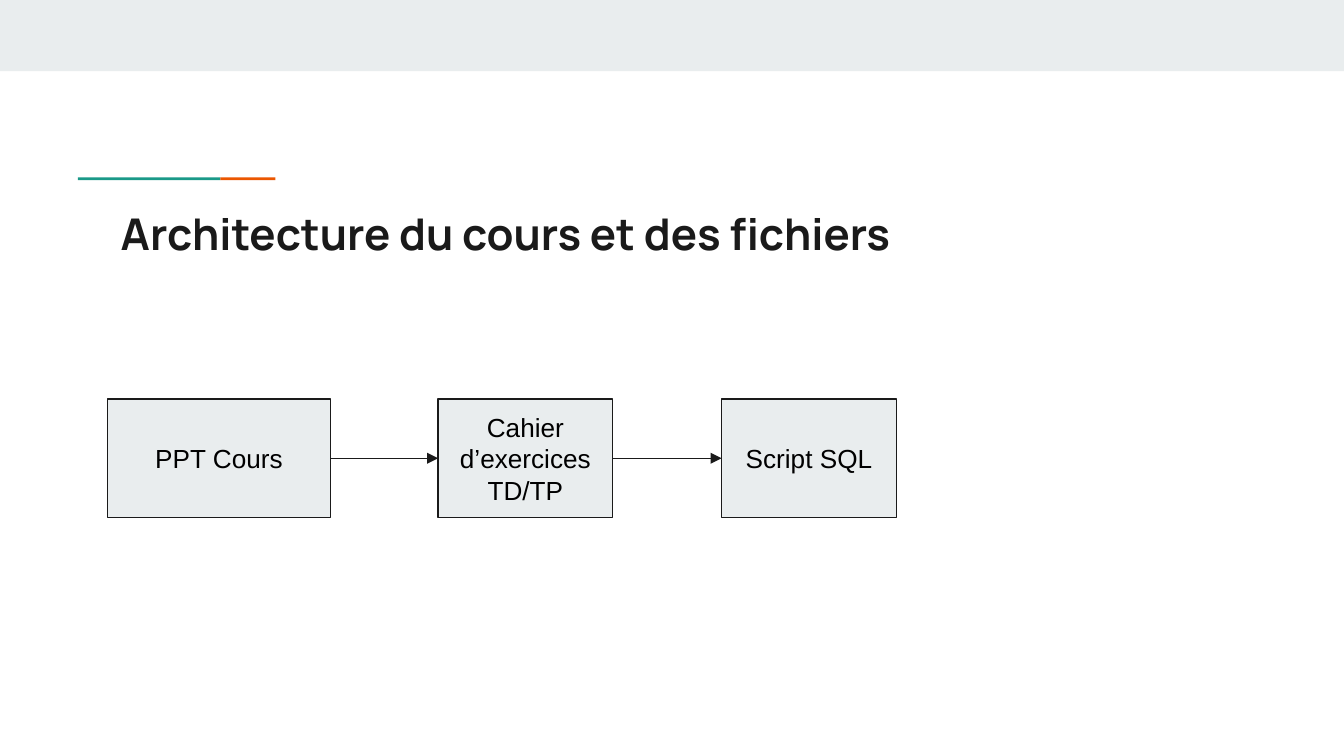
from pptx import Presentation
from pptx.dml.color import RGBColor
from pptx.enum.shapes import MSO_CONNECTOR, MSO_SHAPE
from pptx.enum.text import MSO_ANCHOR, PP_ALIGN
from pptx.oxml.ns import qn
from pptx.util import Inches, Pt
from lxml import etree

RECTANGLE = MSO_SHAPE.RECTANGLE
STRAIGHT = MSO_CONNECTOR.STRAIGHT
MIDDLE = MSO_ANCHOR.MIDDLE
CENTER = PP_ALIGN.CENTER
LEFT_SIDE, RIGHT_SIDE = 1, 3

COLORS = {
    "pale": "E9EDEE",
    "teal": "1A9988",
    "orange": "EB5600",
    "ink": "1A1A1A",
    "black": "000000",
}

# 16:9 slide
presentation = Presentation()
presentation.slide_width = Inches(10)
presentation.slide_height = Inches(10 * 9 / 16)
slide = presentation.slides.add_slide(presentation.slide_layouts[6])


def color(name):
    return RGBColor.from_string(COLORS[name])


def add_rectangle(left, top, width, height, fill):
    shape = slide.shapes.add_shape(
        RECTANGLE, Inches(left), Inches(top), Inches(width), Inches(height))
    shape.shadow.inherit = False
    shape.fill.solid()
    shape.fill.fore_color.rgb = color(fill)
    shape.line.fill.background()
    return shape


# Top band and two-colour accent
add_rectangle(0, 0, 10, 0.53, "pale")
add_rectangle(0.58, 1.32, 1.06, 0.02, "teal")
add_rectangle(1.64, 1.32, 0.41, 0.02, "orange")

# Title
title = slide.shapes.add_textbox(
    Inches(0.8), Inches(1.44), Inches(8.41), Inches(0.59))
title_frame = title.text_frame
title_frame.word_wrap = True
title_frame.margin_left = title_frame.margin_right = Inches(0.1)
title_frame.margin_top = title_frame.margin_bottom = Inches(0.1)
title_frame.text = "Architecture du cours et des fichiers"
title_font = title_frame.paragraphs[0].runs[0].font
title_font.name = "Manrope"
title_font.size = Pt(23.4)
title_font.bold = True
title_font.color.rgb = color("ink")

# Course material boxes: left, width, text
STEPS = [
    (0.8, 1.66, "PPT Cours"),
    (3.26, 1.3, "Cahier d’exercices\nTD/TP"),
    (5.37, 1.3, "Script SQL"),
]
boxes = []
for left, width, text in STEPS:
    box = add_rectangle(left, 2.97, width, 0.88, "pale")
    box.line.color.rgb = color("ink")
    box.line.width = Pt(0.75)
    frame = box.text_frame
    frame.word_wrap = True
    frame.vertical_anchor = MIDDLE
    frame.margin_left = frame.margin_right = Inches(0.1)
    frame.margin_top = frame.margin_bottom = Inches(0.1)
    frame.text = text
    for paragraph in frame.paragraphs:
        paragraph.alignment = CENTER
        font = paragraph.runs[0].font
        font.name = "Arial"
        font.size = Pt(14)
        font.color.rgb = color("black")
    boxes.append(box)

# Arrows between neighbouring boxes
for source, target in zip(boxes, boxes[1:]):
    arrow = slide.shapes.add_connector(STRAIGHT, 0, 0, 0, 0)
    arrow.begin_connect(source, RIGHT_SIDE)
    arrow.end_connect(target, LEFT_SIDE)
    arrow.line.color.rgb = color("ink")
    arrow.line.width = Pt(0.75)
    properties = arrow._element.spPr
    etree.SubElement(properties.find(qn("a:ln")), qn("a:tailEnd"), type="triangle")
    etree.SubElement(properties, qn("a:effectLst"))

presentation.save("out.pptx")
